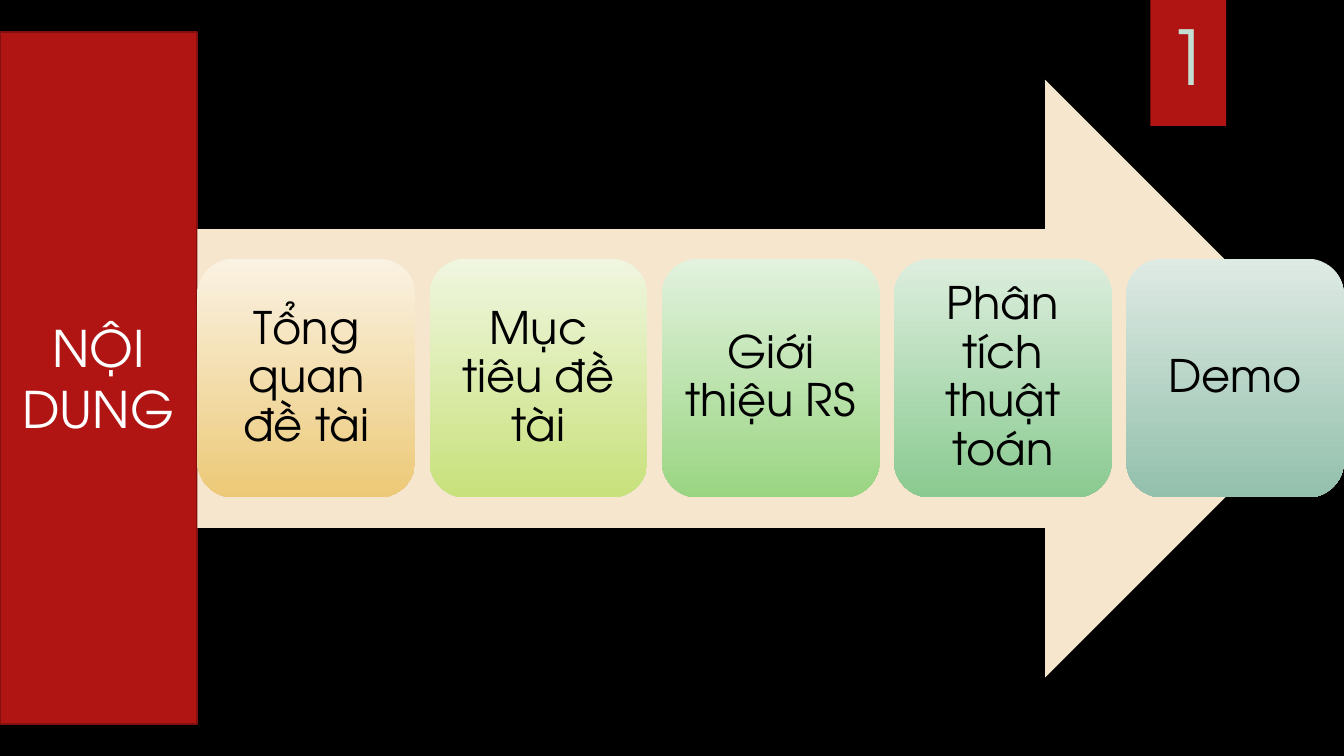
from pptx import Presentation
from pptx.dml.color import RGBColor as RGB
from pptx.enum.shapes import MSO_SHAPE as Shape
from pptx.enum.text import MSO_ANCHOR as Anchor, PP_ALIGN as Align
from pptx.util import Pt

BLACK = RGB(0x00, 0x00, 0x00)
WHITE = RGB(0xFF, 0xFF, 0xFF)
RED = RGB(0xB0, 0x15, 0x13)
DARK = RGB(0x82, 0x10, 0x0E)
CREAM = RGB(0xF5, 0xE6, 0xCD)
MINT = RGB(0xC3, 0xDE, 0xD3)
FONT = "TeX Gyre Adventor"

TOPICS = [
    ("Tổng quan đề tài", RGB(0xFA, 0xF2, 0xE3), RGB(0xEC, 0xC9, 0x77)),
    ("Mục tiêu đề tài", RGB(0xF0, 0xF6, 0xE0), RGB(0xC8, 0xE1, 0x7B)),
    ("Giới thiệu RS", RGB(0xE2, 0xF2, 0xDE), RGB(0x9A, 0xD5, 0x82)),
    ("Phân tích thuật toán", RGB(0xDD, 0xEE, 0xDE), RGB(0x8A, 0xCA, 0x90)),
    ("Demo", RGB(0xDE, 0xEA, 0xE4), RGB(0x93, 0xC0, 0xAC)),
]
WIDE, HIGH = 960, 540
LEFT, CARD = 141, 155.6
STEP = (WIDE - CARD - LEFT) / (len(TOPICS) - 1)


def apply(item, values):
    for name, value in values.items():
        setattr(item, name, value)


def add_block(slide, kind, place, color):
    block = slide.shapes.add_shape(kind, *[Pt(v) for v in place])
    block.shadow.inherit = False
    block.fill.solid()
    block.fill.fore_color.rgb = color
    block.line.fill.background()
    return block


def shade(block, top, bottom):
    block.fill.gradient()
    block.fill.gradient_angle = 270
    for stop, color, spot in zip(block.fill.gradient_stops, (top, bottom), (0, 1)):
        stop.color.rgb = color
        stop.position = spot


def write(block, text, size, color, frame, space=1.0):
    box = block.text_frame
    apply(box, {"word_wrap": True, "vertical_anchor": Anchor.MIDDLE, **frame})
    para = box.paragraphs[0]
    apply(para, {"alignment": Align.CENTER, "line_spacing": space})
    run = para.add_run()
    run.text = text
    apply(run.font, {"name": FONT, "size": Pt(size)})
    run.font.color.rgb = color


def add_card(slide, index, topic):
    text, top, bottom = topic
    place = (LEFT + index * STEP, 184.8, CARD, 170.6)
    card = add_block(slide, Shape.ROUNDED_RECTANGLE, place, top)
    shade(card, top, bottom)
    sides = ("left", "top", "right", "bottom")
    frame = {f"margin_{side}": Pt(9.4) for side in sides}
    write(card, text, 32, BLACK, frame, 0.9)


def main():
    deck = Presentation()
    apply(deck, {"slide_width": Pt(WIDE), "slide_height": Pt(HIGH)})
    slide = deck.slides.add_slide(deck.slide_layouts[6])
    slide.background.fill.solid()
    slide.background.fill.fore_color.rgb = BLACK

    tag = add_block(slide, Shape.RECTANGLE, (821.8, 0, 54, 90), RED)
    write(tag, "1", 54, MINT, {"vertical_anchor": Anchor.TOP, "margin_top": Pt(7.2)})

    title = add_block(slide, Shape.RECTANGLE, (0, 23, LEFT, 494), RED)
    title.line.color.rgb = DARK
    title.line.width = Pt(1.5)
    write(title, "NỘI DUNG", 36, WHITE, {})

    add_block(slide, Shape.RIGHT_ARROW, (LEFT, 56.9, 819, 427), CREAM)
    for index, topic in enumerate(TOPICS):
        add_card(slide, index, topic)
    deck.save("out.pptx")


if __name__ == "__main__":
    main()
